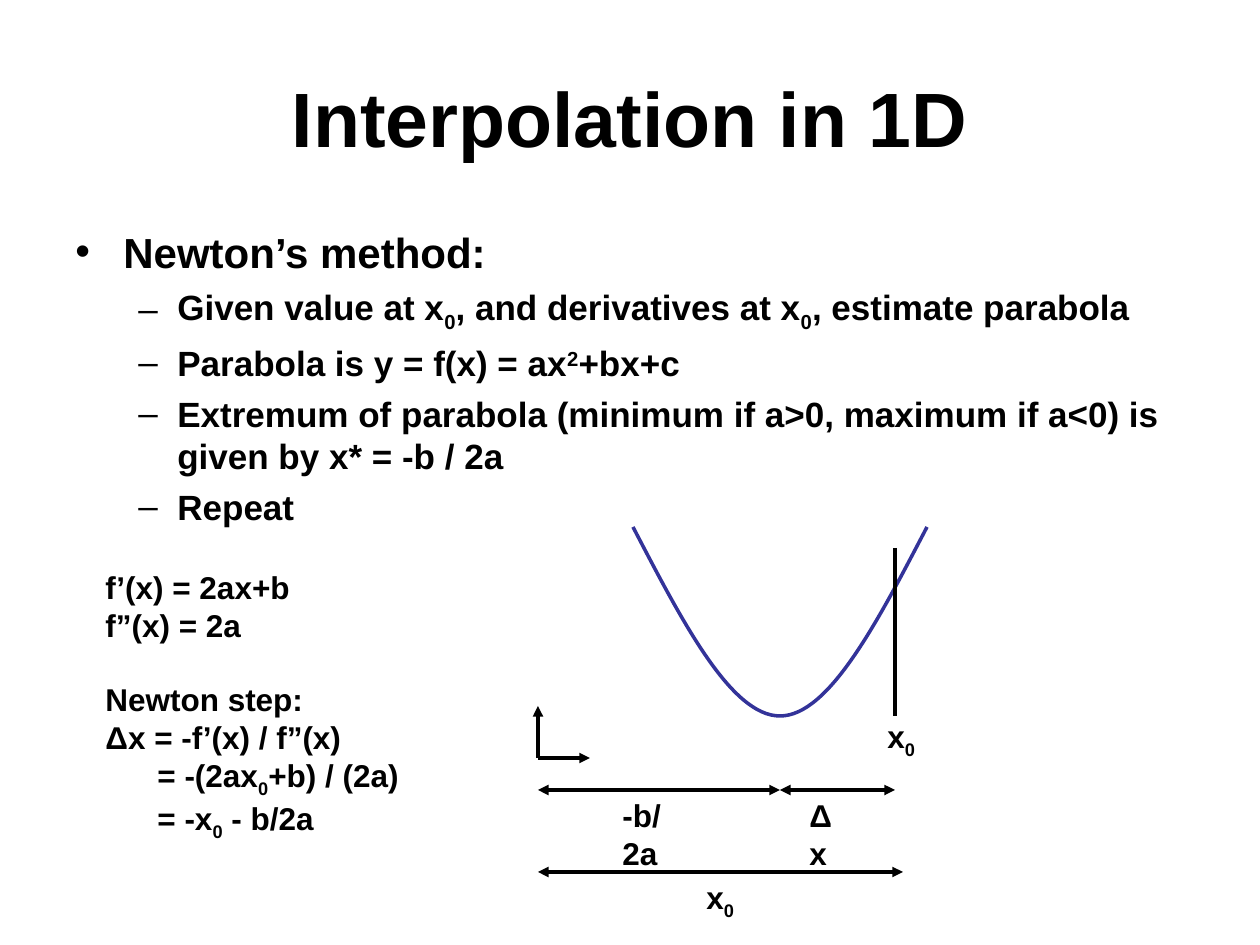
from lxml.etree import SubElement
from pptx import Presentation
from pptx.dml.color import RGBColor
from pptx.enum.shapes import MSO_CONNECTOR
from pptx.enum.text import MSO_ANCHOR, PP_ALIGN
from pptx.oxml.ns import qn
from pptx.util import Emu, Pt

SCALE = 914400 / 126
BLACK, BLUE = "000000", "333399"
SUB_ZERO = ("0", -25)
SQUARE = ("2", 30)

TITLE = "Interpolation in 1D"
BULLETS = [
    (0, ["Newton’s method:"]),
    (1, ["Given value at x", SUB_ZERO, ", and derivatives at x", SUB_ZERO, ", estimate parabola"]),
    (1, ["Parabola is y = f(x) = ax", SQUARE, "+bx+c"]),
    (1, ["Extremum of parabola (minimum if a>0, maximum if a<0) is given by x* = -b / 2a"]),
    (1, ["Repeat"]),
]
LEVELS = [
    dict(char="•", margin=48, hanging=48, size=24, space=6),
    dict(char="–", margin=102, hanging=39, size=20, space=5),
]
DERIVATION = [
    (0, 0, ["f’(x) = 2ax+b"]),
    (0, 0, ["f”(x) = 2a"]),
    (0, 21, ["Newton step:"]),
    (0, 0, ["Δx = -f’(x) / f”(x)"]),
    (52, 0, ["= -(2ax", SUB_ZERO, "+b) / (2a)"]),
    (52, 0, ["= -x", SUB_ZERO, " - b/2a"]),
]

ORIGIN_X, VERTEX_X, START_X = 538, 780, 895
AXIS_Y, SPAN_Y, TOTAL_Y = 758, 790, 872
CURVE_TOP, CURVE_BOTTOM, CURVE_STEP = 527, 716, 49
LINES = [
    ((ORIGIN_X, SPAN_Y, VERTEX_X, SPAN_Y), ("headEnd", "tailEnd")),
    ((VERTEX_X, SPAN_Y, START_X, SPAN_Y), ("headEnd", "tailEnd")),
    ((ORIGIN_X, TOTAL_Y, 903, TOTAL_Y), ("headEnd", "tailEnd")),
    ((ORIGIN_X, AXIS_Y, 590, AXIS_Y), ("tailEnd",)),
    ((ORIGIN_X, AXIS_Y, ORIGIN_X, 706), ("tailEnd",)),
    ((START_X, 548, START_X, CURVE_BOTTOM), ()),
]
LABELS = [
    ((610, SPAN_Y, 98, 50), False, ["-b/2a"]),
    ((797, SPAN_Y, 61, 98), True, ["Δx"]),
    ((875, 711, 53, 55), False, ["x", SUB_ZERO]),
    ((694, TOTAL_Y, 53, 55), False, ["x", SUB_ZERO]),
]


def px(value):
    return Emu(round(value * SCALE))


def color(value):
    return RGBColor.from_string(value)


def add_runs(paragraph, parts, size):
    for part in parts:
        text, baseline = (part, 0) if isinstance(part, str) else part
        run = paragraph.add_run()
        run.text = text
        for name, value in dict(name="Arial", size=Pt(size), bold=True).items():
            setattr(run.font, name, value)
        run.font.color.rgb = color(BLACK)
        if baseline:
            run.font._element.set("baseline", str(baseline * 1000))


def add_text_box(slide, box, wrap=False):
    frame = slide.shapes.add_textbox(*map(px, box)).text_frame
    frame.word_wrap = wrap
    return frame


def paragraphs_for(frame, items):
    for index, item in enumerate(items):
        yield index, frame.add_paragraph() if index else frame.paragraphs[0], item


def set_indent(paragraph, margin, hanging=0):
    properties = paragraph._p.get_or_add_pPr()
    properties.set("marL", str(px(margin)))
    properties.set("indent", str(-px(hanging)))
    return properties


def add_title(slide):
    title = slide.shapes.title
    for name, value in dict(left=63, top=38, width=1134, height=158).items():
        setattr(title, name, px(value))
    title.text_frame.vertical_anchor = MSO_ANCHOR.MIDDLE
    paragraph = title.text_frame.paragraphs[0]
    paragraph.alignment = PP_ALIGN.CENTER
    add_runs(paragraph, [TITLE], 44)


def add_bullets(slide):
    frame = add_text_box(slide, (63, 220, 1134, 624), True)
    for index, paragraph, (level, parts) in paragraphs_for(frame, BULLETS):
        style = LEVELS[level]
        paragraph.level = level
        properties = set_indent(paragraph, style["margin"], style["hanging"])
        bullet_color = SubElement(properties, qn("a:buClr"))
        SubElement(bullet_color, qn("a:srgbClr"), val=BLACK)
        SubElement(properties, qn("a:buFont"), typeface="Arial")
        SubElement(properties, qn("a:buChar"), char=style["char"])
        if index:
            paragraph.space_before = Pt(style["space"])
        add_runs(paragraph, parts, style["size"])


def add_derivation(slide):
    frame = add_text_box(slide, (93, 562, 319, 287))
    for _, paragraph, (margin, space, parts) in paragraphs_for(frame, DERIVATION):
        if margin:
            set_indent(paragraph, margin)
        if space:
            paragraph.space_before = Pt(space)
        add_runs(paragraph, parts, 18)


def add_parabola(slide):
    heights = [CURVE_TOP, (CURVE_TOP + CURVE_BOTTOM) // 2, CURVE_BOTTOM, CURVE_BOTTOM]
    heights += heights[-2::-1]
    points = [(VERTEX_X + (i - 3) * CURVE_STEP, y) for i, y in enumerate(heights)]
    builder = slide.shapes.build_freeform(*points[0], scale=SCALE)
    builder.add_line_segments(points[1:], close=False)
    shape = builder.convert_to_shape()
    shape.shadow.inherit = False
    shape.fill.background()
    shape.line.color.rgb = color(BLUE)
    shape.line.width = Pt(2)
    segments = list(shape._element.iter(qn("a:lnTo")))
    outline = segments[0].getparent()
    for start in range(0, len(segments), 3):
        curve = SubElement(outline, qn("a:cubicBezTo"))
        for segment in segments[start:start + 3]:
            curve.append(segment[0])
            outline.remove(segment)


def add_line(slide, ends, arrows):
    connector = slide.shapes.add_connector(MSO_CONNECTOR.STRAIGHT, *map(px, ends))
    connector.line.color.rgb = color(BLACK)
    connector.line.width = Pt(2)
    outline = connector.line._get_or_add_ln()
    for arrow in arrows:
        SubElement(outline, qn(f"a:{arrow}"), type="triangle")
    SubElement(connector._element.spPr, qn("a:effectLst"))


def main():
    presentation = Presentation()
    presentation.slide_width, presentation.slide_height = px(1260), px(945)
    slide = presentation.slides.add_slide(presentation.slide_layouts[5])
    add_title(slide)
    add_bullets(slide)
    add_parabola(slide)
    for ends, arrows in LINES:
        add_line(slide, ends, arrows)
    add_derivation(slide)
    for box, wrap, parts in LABELS:
        add_runs(add_text_box(slide, box, wrap).paragraphs[0], parts, 18)
    presentation.save("out.pptx")


if __name__ == "__main__":
    main()
